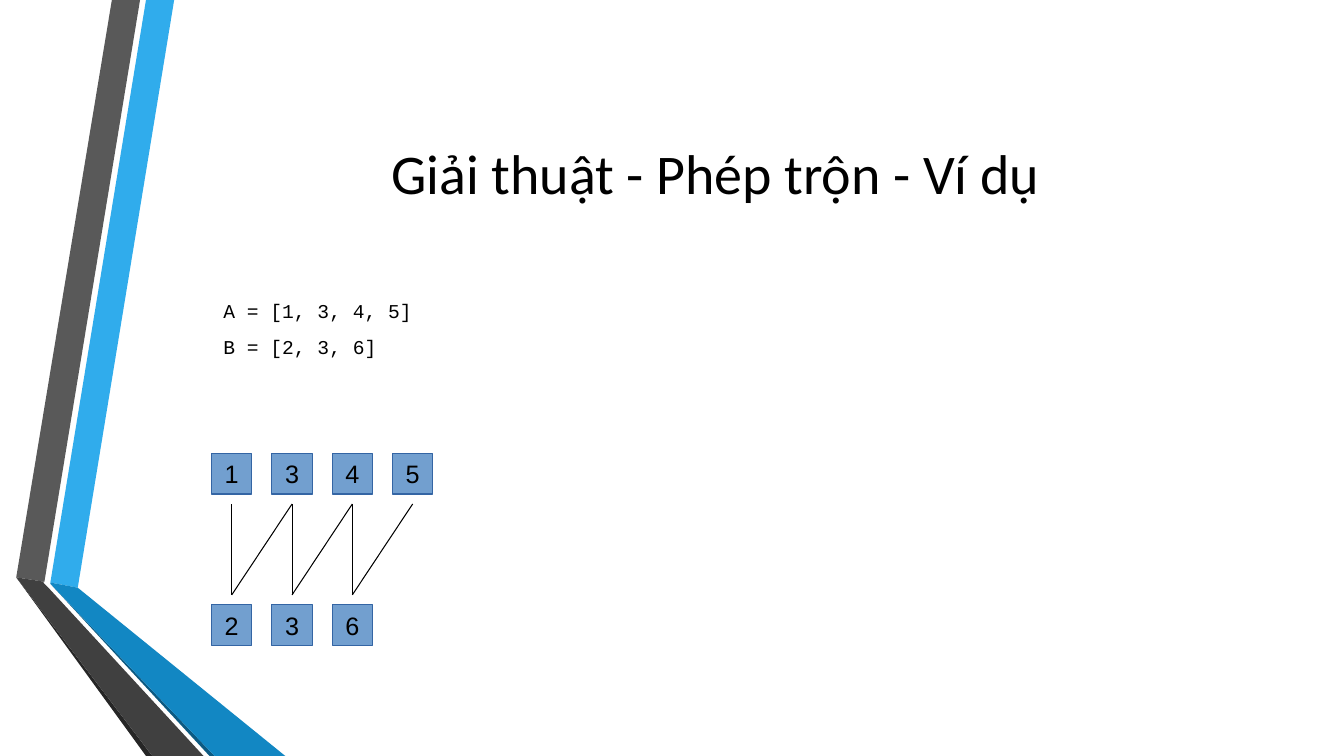
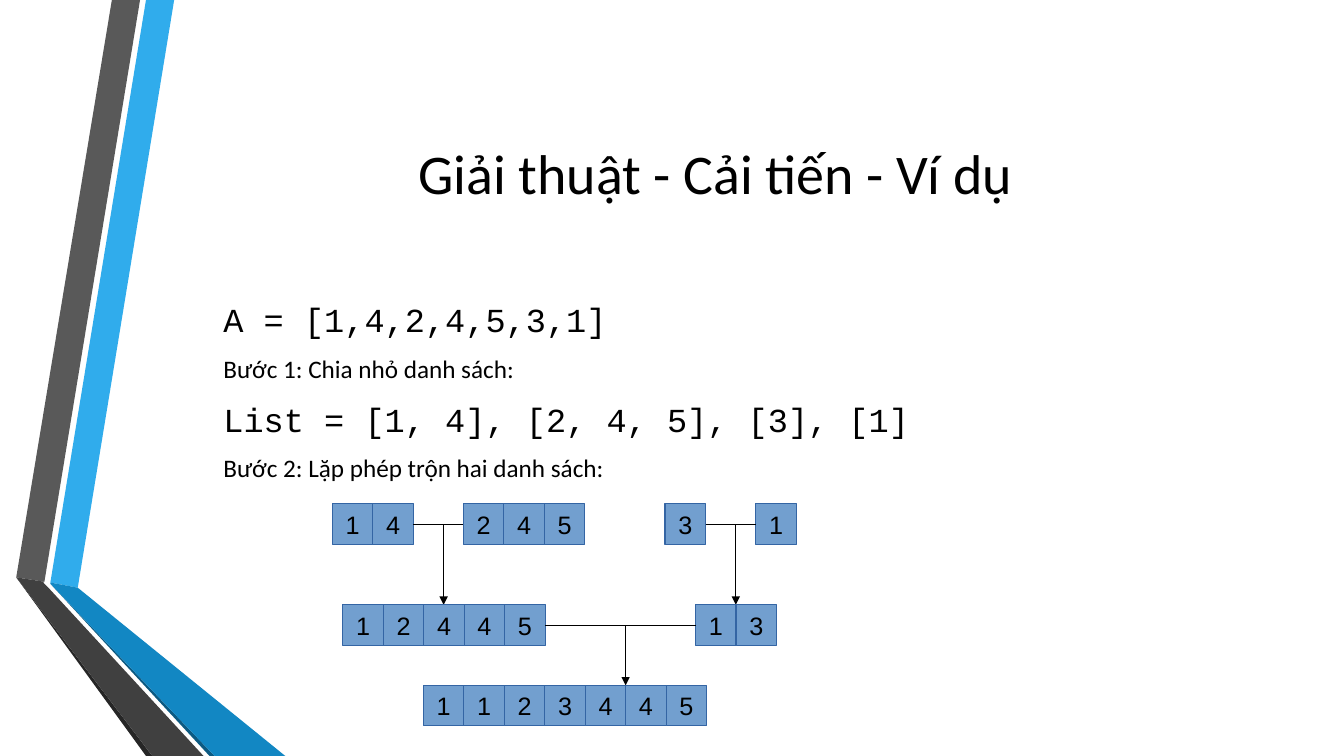
from pptx import Presentation
from pptx.dml.color import RGBColor
from pptx.enum.shapes import MSO_CONNECTOR, MSO_SHAPE
from pptx.enum.text import MSO_ANCHOR, PP_ALIGN
from pptx.oxml.ns import qn
from pptx.oxml.xmlchemy import OxmlElement
from pptx.util import Cm, Pt

# Content; lengths are in centimetres
BANDS = [
    ("30ACEC", [(1.27, 14.68), (1.96, 14.81), (4.39, 0), (3.68, 0)]),
    ("595959", [(3.53, 0), (2.82, 0), (0.41, 14.55), (1.12, 14.66)]),
    ("262626", [(0.41, 14.55), (3.68, 19.05), (3.84, 19.05)]),
    ("0C5A82", [(1.27, 14.71), (5.28, 19.05), (5.41, 19.05)]),
    ("1287C3", [(1.27, 14.71), (5.41, 19.05), (7.19, 19.05), (1.96, 14.81),
                (1.27, 14.68)]),
    ("404040", [(5.13, 19.05), (1.22, 14.81), (1.09, 14.68), (1.12, 14.66),
                (0.41, 14.55), (3.84, 19.05)]),
]
CODE, PROSE = ("Courier New", 24), ("Calibri", 18)
SMALL_CODE = ("Courier New", 14)

MERGE_TITLE = "Giải thuật - Phép trộn - Ví dụ"
MERGE_LINES = [("A = [1, 3, 4, 5]", SMALL_CODE), ("B = [2, 3, 6]", SMALL_CODE)]
LIST_A, LIST_B = [1, 3, 4, 5], [2, 3, 6]
LIST_LEFT, TOP_A, TOP_B, STEP = 5.33, 11.43, 15.24, 1.52

IMPROVED_TITLE = "Giải thuật - Cải tiến - Ví dụ"
IMPROVED_LINES = [
    ("A = [1,4,2,4,5,3,1]", CODE),
    ("Bước 1: Chia nhỏ danh sách:", PROSE),
    ("List = [1, 4], [2, 4, 5], [3], [1]", CODE),
    ("Bước 2: Lặp phép trộn hai danh sách:", PROSE),
]
# Each level: top, then (left, values) for every run
LEVELS = [
    (12.7, [(8.38, [1, 4]), (11.68, [2, 4, 5]), (16.76, [3]), (19.05, [1])]),
    (15.24, [(8.64, [1, 2, 4, 4, 5]), (17.53, [1, 3])]),
    (17.27, [(10.67, [1, 1, 2, 3, 4, 4, 5])]),
]

CELL, GAP, ARROW_SHIFT = 1.02, 0.25, 0.13
TEXT_LEFT, TEXT_WIDTH = 4.11, 27.84
BLACK, CELL_FILL, CELL_LINE = "000000", "729FCF", "3465A4"


def rgb(value):
    return RGBColor.from_string(value)


def set_font(p, name, size):
    p.font.name, p.font.size = name, Pt(size)
    p.font.color.rgb = rgb(BLACK)


def move_bands_to_layout(slide, layout):
    """Draw the bands on a slide, then hand them to the layout all slides share."""
    for ph in list(layout.placeholders):
        ph.element.getparent().remove(ph.element)
    for color, points in BANDS:
        start, *rest = [(Cm(x), Cm(y)) for x, y in points]
        builder = slide.shapes.build_freeform(*start)
        builder.add_line_segments(rest, close=True)
        sp = builder.convert_to_shape()
        sp.shadow.inherit = False
        sp.fill.solid()
        sp.fill.fore_color.rgb = rgb(color)
        sp.line.fill.background()
        layout.element.cSld.spTree.append(sp.element)


def add_text_box(slide, top, height):
    box = slide.shapes.add_textbox(Cm(TEXT_LEFT), Cm(top), Cm(TEXT_WIDTH), Cm(height))
    box.text_frame.word_wrap = True
    return box.text_frame


def add_title(slide, text):
    tf = add_text_box(slide, 1.91, 4.85)
    tf.vertical_anchor = MSO_ANCHOR.MIDDLE
    p = tf.paragraphs[0]
    p.text, p.alignment = text, PP_ALIGN.CENTER
    set_font(p, "Calibri", 40)


def add_body(slide, lines, height):
    tf = add_text_box(slide, 7.42, height)
    for i, (text, (font, size)) in enumerate(lines):
        p = tf.add_paragraph() if i else tf.paragraphs[0]
        p.text = text
        p.space_before, p.space_after = Pt(size * 0.2), Pt(6)
        pPr = p._p.get_or_add_pPr()
        pPr.set("marL", str(Cm(1.27)))
        pPr.set("indent", "0")
        set_font(p, font, size)


def add_cells(slide, left, top, values, step=CELL):
    for i, value in enumerate(values):
        sp = slide.shapes.add_shape(MSO_SHAPE.RECTANGLE, Cm(left + i * step), Cm(top),
                                    Cm(CELL), Cm(CELL))
        sp.shadow.inherit = False
        sp.fill.solid()
        sp.fill.fore_color.rgb = rgb(CELL_FILL)
        sp.line.color.rgb = rgb(CELL_LINE)
        sp.line.width = Pt(0.75)
        tf = sp.text_frame
        tf.word_wrap = False
        tf.vertical_anchor = MSO_ANCHOR.MIDDLE
        p = tf.paragraphs[0]
        p.text, p.alignment = str(value), PP_ALIGN.CENTER
        set_font(p, "Arial", 18)


def add_line(slide, x1, y1, x2, y2, arrow=False):
    line = slide.shapes.add_connector(MSO_CONNECTOR.STRAIGHT,
                                      Cm(x1), Cm(y1), Cm(x2), Cm(y2))
    line.line.color.rgb = rgb(BLACK)
    line.line.width = Pt(0.75)
    spPr = line.element.spPr
    if arrow:
        tail = OxmlElement("a:tailEnd")
        tail.set("type", "triangle")
        spPr.find(qn("a:ln")).append(tail)
    spPr.append(OxmlElement("a:effectLst"))


def draw_zigzag(slide):
    """Show the order in which items of the two lists are compared."""
    add_cells(slide, LIST_LEFT, TOP_A, LIST_A, STEP)
    add_cells(slide, LIST_LEFT, TOP_B, LIST_B, STEP)
    y1, y2 = TOP_A + CELL + GAP, TOP_B - GAP
    for i in range(len(LIST_B)):
        x = LIST_LEFT + CELL / 2 + i * STEP
        add_line(slide, x, y1, x, y2)
        add_line(slide, x + STEP, y1, x, y2)


def draw_merge_tree(slide):
    """Join neighbouring runs in pairs, with an arrow down to the next level."""
    for level, (top, runs) in enumerate(LEVELS):
        for left, values in runs:
            add_cells(slide, left, top, values)
        y = top + CELL / 2
        for (left, values), (right, _) in zip(runs[::2], runs[1::2]):
            end = left + len(values) * CELL
            x = (end + right) / 2 + ARROW_SHIFT
            add_line(slide, end, y, right, y)
            add_line(slide, x, y, x, LEVELS[level + 1][0], arrow=True)


def main():
    prs = Presentation()
    prs.slide_width, prs.slide_height = Cm(33.87), Cm(19.05)
    layout = prs.slide_layouts[6]

    merge = prs.slides.add_slide(layout)
    move_bands_to_layout(merge, layout)
    add_title(merge, MERGE_TITLE)
    add_body(merge, MERGE_LINES, 1.98)
    draw_zigzag(merge)

    improved = prs.slides.add_slide(layout)
    add_title(improved, IMPROVED_TITLE)
    add_body(improved, IMPROVED_LINES, 5.54)
    draw_merge_tree(improved)

    prs.save("out.pptx")


if __name__ == "__main__":
    main()
